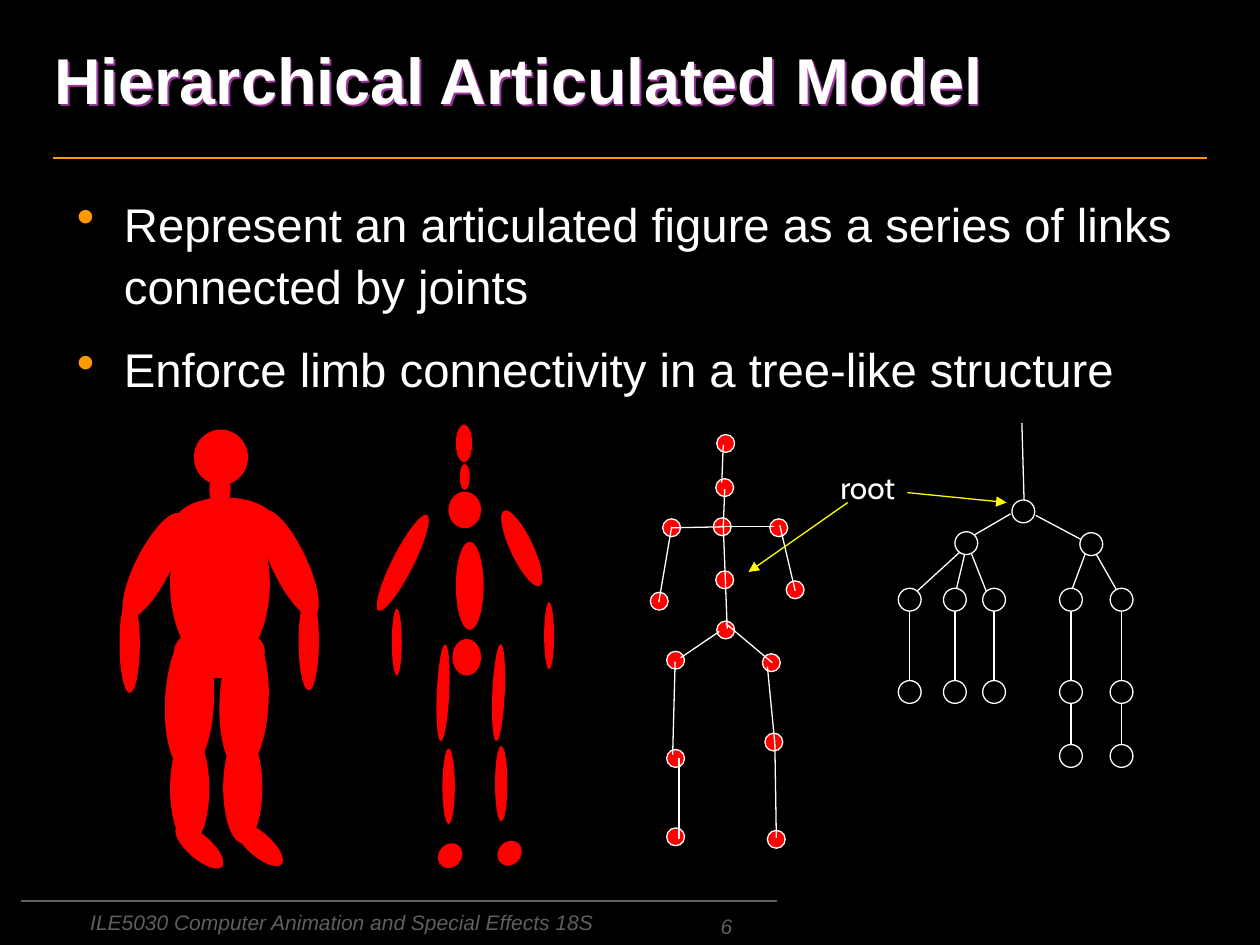
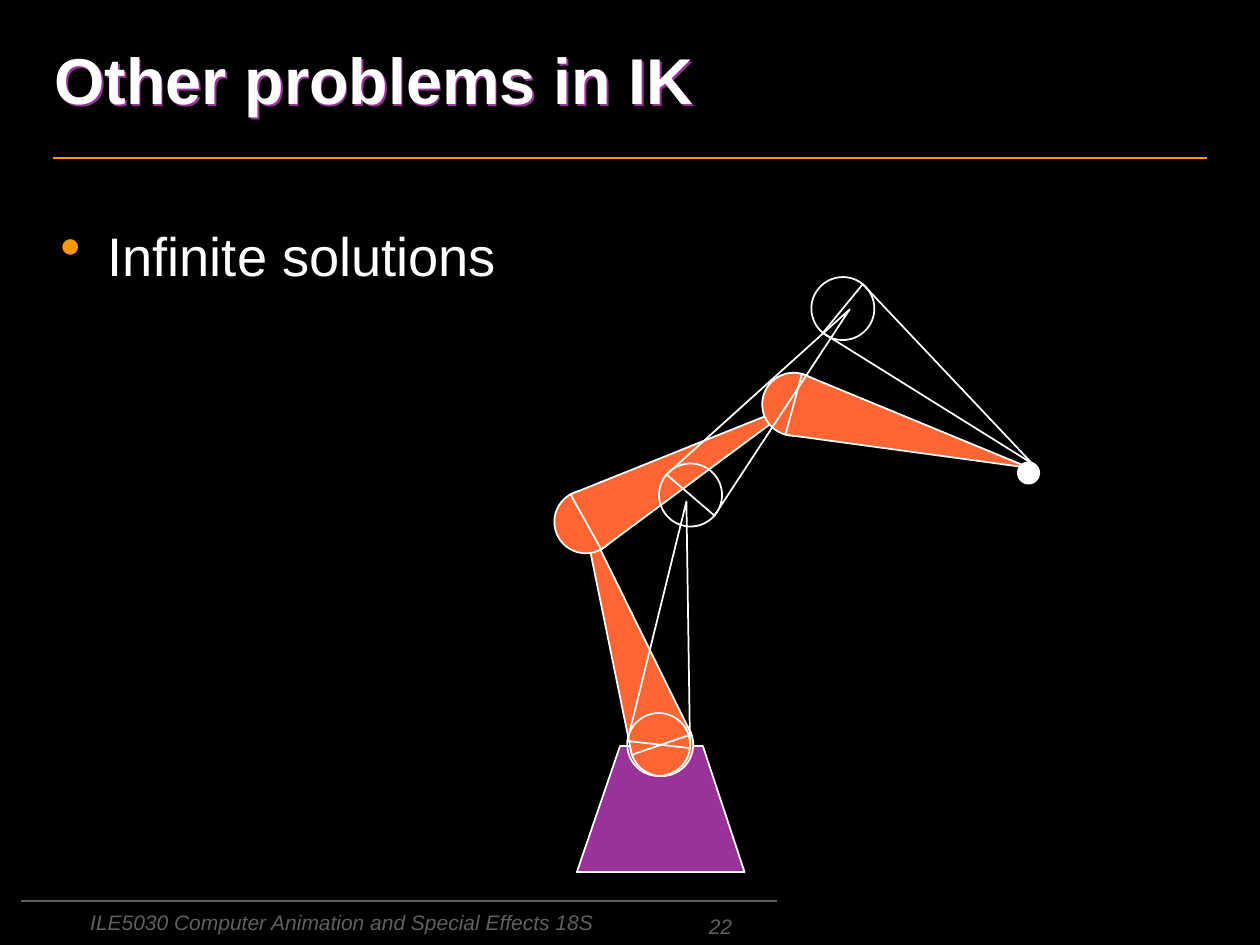
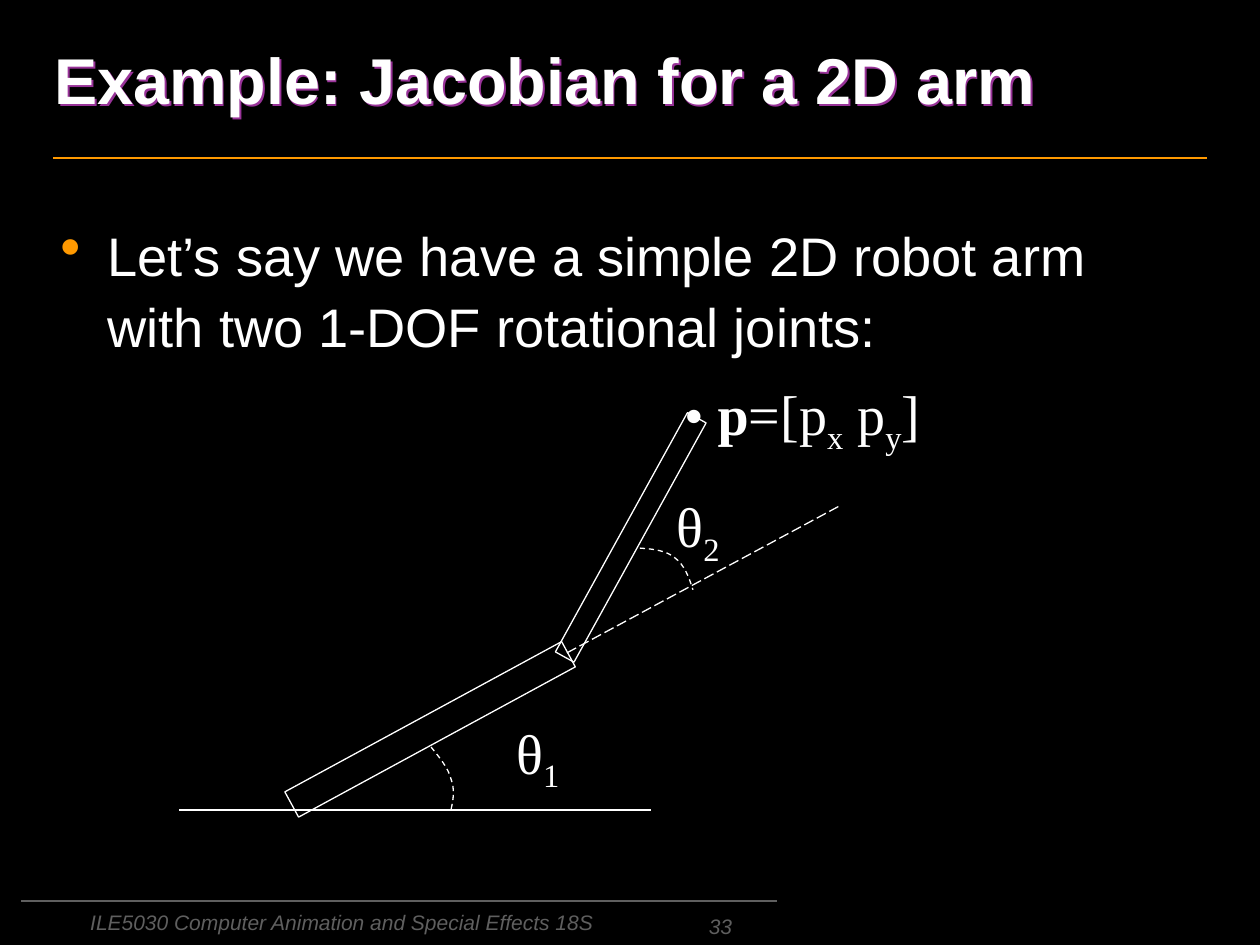
"""Build three animation lecture slides: articulated model, inverse kinematics, 2D arm."""
import math

import lxml.etree
import pptx
import pptx.dml.color
import pptx.enum.dml
import pptx.enum.shapes
import pptx.enum.text
import pptx.oxml.ns
import pptx.util


class Theme:
    black = pptx.dml.color.RGBColor(0x00, 0x00, 0x00)
    white = pptx.dml.color.RGBColor(0xFF, 0xFF, 0xFF)
    accent = pptx.dml.color.RGBColor(0xFF, 0x99, 0x00)
    muted = pptx.dml.color.RGBColor(0x5F, 0x5F, 0x5F)
    purple = pptx.dml.color.RGBColor(0x99, 0x33, 0x99)
    red = pptx.dml.color.RGBColor(0xFF, 0x00, 0x00)
    yellow = pptx.dml.color.RGBColor(0xFF, 0xFF, 0x00)
    arm = pptx.dml.color.RGBColor(0xFF, 0x66, 0x33)
    font = "Arial"
    label_font = "Cabin"
    math_font = "Times New Roman"
    title_size = 37
    footer_size = 12
    label_size = 18
    math_size = 32
    thin = 0.75
    normal = 1


Cm = pptx.util.Cm
Pt = pptx.util.Pt
qn = pptx.oxml.ns.qn
OVAL = pptx.enum.shapes.MSO_SHAPE.OVAL
TRIANGLE = pptx.enum.shapes.MSO_SHAPE.ISOSCELES_TRIANGLE
RECTANGLE = pptx.enum.shapes.MSO_SHAPE.RECTANGLE
DASH = pptx.enum.dml.MSO_LINE.DASH
LONG_DASH = pptx.enum.dml.MSO_LINE.LONG_DASH
ALIGN = pptx.enum.text.PP_ALIGN
ANCHOR = pptx.enum.text.MSO_ANCHOR
AUTO_SIZE = pptx.enum.text.MSO_AUTO_SIZE


def style(shape, fill=None, line=None, width=Theme.thin, rotation=0):
    """Give a shape its fill, outline and rotation, without a shadow."""
    shape.shadow.inherit = False
    shape.rotation = rotation
    if fill is None:
        shape.fill.background()
    else:
        shape.fill.solid()
        shape.fill.fore_color.rgb = fill
    if line is None:
        shape.line.fill.background()
    else:
        shape.line.color.rgb = line
        shape.line.width = Pt(width)


def draw_line(slide, ends, color=Theme.white, width=Theme.thin, arrow=False):
    """Draw a straight line through ends (x1, y1, x2, y2) in centimetres."""
    line = slide.shapes.add_connector(
        pptx.enum.shapes.MSO_CONNECTOR.STRAIGHT, *map(Cm, ends))
    line.line.color.rgb = color
    line.line.width = Pt(width)
    if arrow:
        lxml.etree.SubElement(line.line._get_or_add_ln(), qn("a:tailEnd"), type="triangle")
    lxml.etree.SubElement(line._element.spPr, qn("a:effectLst"))
    return line


presentation = pptx.Presentation()
presentation.slide_width = Cm(25.4)
presentation.slide_height = Cm(19.05)
background = presentation.slide_master.background.fill
background.solid()
background.fore_color.rgb = Theme.black
layout = presentation.slide_layouts[5]

large_body = (0.97, 4.22, 23.37, 13.97)
pages = [
    ("Hierarchical Articulated Model", 23.5, "6", (1.3, 3.69, 22.86, 13.03), 27,
     ["Represent an articulated figure as a series of links connected by joints",
      "Enforce limb connectivity in a tree-like structure"]),
    ("Other problems in IK", 18.62, "22", large_body, 31, ["Infinite solutions"]),
    ("Example: Jacobian for a 2D arm", 23.5, "33", large_body, 31,
     ["Let’s say we have a simple 2D robot arm with two 1-DOF rotational joints:"]),
]
footer_text = "ILE5030 Computer Animation and Special Effects 18S"

for title_text, title_width, number, body_box, body_size, bullets in pages:
    slide = presentation.slides.add_slide(layout)

    footers = [
        (footer_text, (1.57, 18.21, 12.62, 0.84), ALIGN.LEFT, ANCHOR.TOP),
        (number, (9.09, 18.36, 5.92, 0.69), ALIGN.RIGHT, ANCHOR.BOTTOM),
    ]
    for text, box, alignment, anchor in footers:
        frame = slide.shapes.add_textbox(*map(Cm, box)).text_frame
        frame.word_wrap = True
        frame.vertical_anchor = anchor
        paragraph = frame.paragraphs[0]
        paragraph.text = text
        paragraph.alignment = alignment
        paragraph.font.name = Theme.font
        paragraph.font.size = Pt(Theme.footer_size)
        paragraph.font.italic = True
        paragraph.font.color.rgb = Theme.muted

    title = slide.shapes.title
    title.left, title.top, title.width, title.height = map(Cm, (0.84, 0, title_width, 3.18))
    title.text_frame.auto_size = AUTO_SIZE.NONE
    title.text_frame.vertical_anchor = ANCHOR.MIDDLE
    paragraph = title.text_frame.paragraphs[0]
    paragraph.text = title_text
    paragraph.alignment = ALIGN.LEFT
    paragraph.font.name = Theme.font
    paragraph.font.size = Pt(Theme.title_size)
    paragraph.font.bold = True
    paragraph.font.color.rgb = Theme.white
    effects = lxml.etree.SubElement(title._element.spPr, qn("a:effectLst"))
    shadow = lxml.etree.SubElement(
        effects, qn("a:outerShdw"), dist=str(Cm(0.05)), dir="2700000", algn="ctr")
    lxml.etree.SubElement(shadow, qn("a:srgbClr"), val=str(Theme.purple))

    frame = slide.shapes.add_textbox(*map(Cm, body_box)).text_frame
    frame.word_wrap = True
    for index, text in enumerate(bullets):
        paragraph = frame.add_paragraph() if index else frame.paragraphs[0]
        paragraph.text = text
        properties = paragraph._p.get_or_add_pPr()
        properties.set("marL", str(Cm(0.95)))
        properties.set("indent", str(Cm(-0.95)))
        bullet_color = lxml.etree.SubElement(properties, qn("a:buClr"))
        lxml.etree.SubElement(bullet_color, qn("a:srgbClr"), val=str(Theme.accent))
        lxml.etree.SubElement(properties, qn("a:buSzPct"), val="110000")
        lxml.etree.SubElement(properties, qn("a:buChar"), char="•")
        paragraph.line_spacing = 1.1
        paragraph.space_before = Pt(6 if index else 0)
        paragraph.space_after = Pt(6)
        paragraph.font.name = Theme.font
        paragraph.font.size = Pt(body_size)
        paragraph.font.color.rgb = Theme.white

model_slide, kinematics_slide, jacobian_slide = presentation.slides

layout_rules = [
    ((1.07, 3.18, 24.33, 3.18), Theme.accent),
    ((0.43, 18.16, 15.67, 18.16), Theme.muted),
]
for ends, color in layout_rules:
    rule = draw_line(model_slide, ends, color, Theme.normal)
    layout.shapes._spTree.append(rule._element)

body_parts = [
    (3.91, 8.66, 1.09, 1.12, 0),
    (4.22, 9.47, 0.43, 0.79, 0),
    (3.51, 12.6, 1.83, 1.07, 0),
    (3.43, 10.01, 2.01, 3.51, 0),
    (1.91, 11.05, 2.36, 0.71, 296.9),
    (3.51, 10.03, 2.06, 1.07, 0),
    (4.65, 11, 2.36, 0.71, 244.7),
    (6.02, 11.94, 0.41, 1.98, 0),
    (2.41, 11.99, 0.41, 1.98, 0),
    (2.41, 13.64, 2.82, 0.99, 272.6),
    (3.51, 13.64, 2.82, 0.99, 272.6),
    (3.43, 14.78, 0.79, 2.24, 0),
    (4.5, 14.76, 0.79, 2.24, 0),
    (4.98, 16.41, 0.48, 1.22, 311.1),
    (3.78, 16.46, 0.48, 1.22, 311.1),
]
separate_limbs = [
    (9.19, 8.56, 0.33, 0.76, 0),
    (9.27, 9.35, 0.2, 0.53, 0),
    (9.12, 12.88, 0.58, 0.74, 0),
    (9.19, 10.92, 0.56, 1.78, 0),
    (7.04, 11.13, 2.16, 0.43, 296.9),
    (9.04, 9.91, 0.66, 0.74, 0),
    (9.68, 10.82, 1.68, 0.46, 244.7),
    (10.97, 12.14, 0.2, 1.35, 0),
    (7.9, 12.27, 0.2, 1.35, 0),
    (7.95, 13.84, 1.96, 0.25, 272.6),
    (9.07, 13.84, 1.96, 0.25, 272.6),
    (8.92, 15.09, 0.25, 1.52, 0),
    (9.98, 15.04, 0.25, 1.52, 0),
    (10.01, 16.97, 0.53, 0.46, 311.1),
    (8.81, 17.02, 0.53, 0.46, 311.1),
]
for *box, rotation in body_parts + separate_limbs:
    part = model_slide.shapes.add_shape(OVAL, *map(Cm, box))
    style(part, fill=Theme.red, rotation=rotation)

joint_size = 0.36
joints = [
    (14.45, 8.76), (14.43, 9.65), (14.38, 10.44), (15.52, 10.46), (13.36, 10.46),
    (15.85, 11.71), (13.11, 11.94), (14.43, 11.51), (14.45, 12.52), (15.37, 13.18),
    (13.44, 13.13), (15.42, 14.78), (15.47, 16.74), (13.44, 15.11), (13.44, 16.69),
]
for left, top in joints:
    joint = model_slide.shapes.add_shape(OVAL, *map(Cm, (left, top, joint_size, joint_size)))
    style(joint, fill=Theme.red, line=Theme.white)

bones = [
    (14.58, 8.97, 14.55, 9.73),
    (14.61, 9.86, 14.58, 10.62),
    (13.54, 10.64, 14.61, 10.62),
    (15.72, 10.59, 16.03, 11.91),
    (14.61, 10.62, 15.6, 10.62),
    (13.54, 10.62, 13.28, 12.14),
    (14.58, 10.59, 14.66, 12.67),
    (14.63, 12.57, 15.57, 13.36),
    (14.5, 12.73, 13.72, 13.26),
    (15.47, 13.44, 15.62, 14.99),
    (13.61, 13.34, 13.56, 15.21),
    (15.62, 14.99, 15.65, 16.89),
    (13.69, 15.29, 13.69, 16.92),
]
tree_links = [
    (20.65, 10.26, 20.6, 8.53),
    (20.37, 10.36, 19.58, 10.82),
    (20.88, 10.39, 21.84, 10.9),
    (19.58, 10.92, 18.44, 11.96),
    (19.51, 10.9, 19.23, 12.09),
    (19.46, 10.85, 19.99, 12.19),
    (21.95, 10.97, 21.54, 12.07),
    (21.97, 10.95, 22.61, 12.07),
]
node_size = 0.46
tree_nodes = [(20.4, 10.08), (19.25, 10.72), (21.77, 10.74)]
row_tops = [11.86, 13.72, 15.01]
branches = [(18.11, 2), (19.02, 2), (19.81, 2), (21.36, 3), (22.38, 3)]
for left, depth in branches:
    tops = row_tops[:depth]
    center = left + node_size / 2
    tree_nodes += [(left, top) for top in tops]
    tree_links += [(center, upper + node_size, center, lower)
                   for upper, lower in zip(tops, tops[1:])]

for ends in bones + tree_links:
    draw_line(model_slide, ends)
for left, top in tree_nodes:
    node = model_slide.shapes.add_shape(OVAL, *map(Cm, (left, top, node_size, node_size)))
    style(node, fill=Theme.black, line=Theme.white)
for ends in [(17.09, 10.13, 15.09, 11.53), (18.29, 9.93, 20.29, 10.13)]:
    draw_line(model_slide, ends, Theme.yellow, arrow=True)

pedestal_points = [(Cm(x), Cm(y)) for x, y in
                   [(11.63, 17.58), (12.5, 15.04), (14.17, 15.04), (15.01, 17.58)]]
builder = kinematics_slide.shapes.build_freeform(*pedestal_points[0])
builder.add_line_segments(pedestal_points[1:])
style(builder.convert_to_shape(), Theme.purple, Theme.white, Theme.normal)

arm_width = 1.27
arm_length = 4.93
arm_links = [
    (13.34, 15.01, 341.1, Theme.arm),
    (11.81, 10.52, 60.8, Theme.arm),
    (16, 8.15, 105.1, Theme.arm),
    (13.28, 15.01, 6.5, None),
    (13.92, 9.98, 40.6, None),
    (16.99, 6.22, 129.3, None),
]
for joint_x, joint_y, angle, fill in arm_links:
    group = kinematics_slide.shapes.add_group_shape()
    middle_x = joint_x + arm_length / 2 * math.sin(math.radians(angle))
    middle_y = joint_y - arm_length / 2 * math.cos(math.radians(angle))
    for kind, x, y, height in [(OVAL, joint_x, joint_y, arm_width),
                               (TRIANGLE, middle_x, middle_y, arm_length)]:
        box = (x - arm_width / 2, y - height / 2, arm_width, height)
        part = group.shapes.add_shape(kind, *map(Cm, box))
        style(part, fill, Theme.white, Theme.normal, angle)
target = kinematics_slide.shapes.add_shape(OVAL, *map(Cm, (20.52, 9.32, 0.43, 0.43)))
style(target, Theme.white, Theme.white, Theme.normal)

draw_line(jacobian_slide, (3.61, 16.33, 13.13, 16.33))
for *box, rotation in [(8.38, 11.53, 0.58, 6.35, 61.5), (12.5, 8.08, 0.43, 5.51, 28.9)]:
    segment = jacobian_slide.shapes.add_shape(RECTANGLE, *map(Cm, box))
    style(segment, line=Theme.white, rotation=rotation)
extension = draw_line(jacobian_slide, (11.43, 13.16, 16.94, 10.19))
extension.line.dash_style = LONG_DASH

angle_arcs = [
    [(8.69, 15.06), (8.86, 15.27), (9.04, 15.49), (9.09, 15.7),
     (9.17, 15.9), (9.14, 16.13), (9.09, 16.33)],
    [(12.9, 11.05), (13.18, 11.07), (13.44, 11.1), (13.61, 11.25),
     (13.79, 11.38), (13.89, 11.63), (13.97, 11.89)],
]
steps = 8
for controls in angle_arcs:
    builder = jacobian_slide.shapes.build_freeform(*map(Cm, controls[0]))
    for first in (0, 3):
        curve = controls[first:first + 4]
        for step in range(1, steps + 1):
            t = step / steps
            weights = [math.comb(3, k) * t ** k * (1 - t) ** (3 - k) for k in range(4)]
            point = [Cm(sum(w * c[axis] for w, c in zip(weights, curve))) for axis in (0, 1)]
            builder.add_line_segments([point], close=False)
    arc = builder.convert_to_shape()
    style(arc, line=Theme.white)
    arc.line.dash_style = DASH

labels = [
    (model_slide, (16.69, 9.32, 1.65, 1.02), Theme.label_font, Theme.label_size,
     [("root", "")]),
    (jacobian_slide, (10.16, 14.35, 2.01, 1.6), Theme.math_font, Theme.math_size,
     [("θ", ""), ("1", "subscript")]),
    (jacobian_slide, (13.39, 9.78, 2.01, 1.6), Theme.math_font, Theme.math_size,
     [("θ", ""), ("2", "subscript")]),
    (jacobian_slide, (13.54, 7.52, 5.64, 1.6), Theme.math_font, Theme.math_size,
     [("• ", ""), ("p", "bold"), ("=[p", ""), ("x", "subscript"),
      (" p", ""), ("y", "subscript"), ("]", "")]),
]
for slide, box, font_name, size, runs in labels:
    frame = slide.shapes.add_textbox(*map(Cm, box)).text_frame
    frame.word_wrap = False
    frame.auto_size = AUTO_SIZE.SHAPE_TO_FIT_TEXT
    paragraph = frame.paragraphs[0]
    paragraph.font.name = font_name
    paragraph.font.size = Pt(size)
    paragraph.font.color.rgb = Theme.white
    for text, emphasis in runs:
        run = paragraph.add_run()
        run.text = text
        if emphasis == "bold":
            run.font.bold = True
        elif emphasis == "subscript":
            run._r.get_or_add_rPr().set("baseline", "-25000")

presentation.save("out.pptx")
